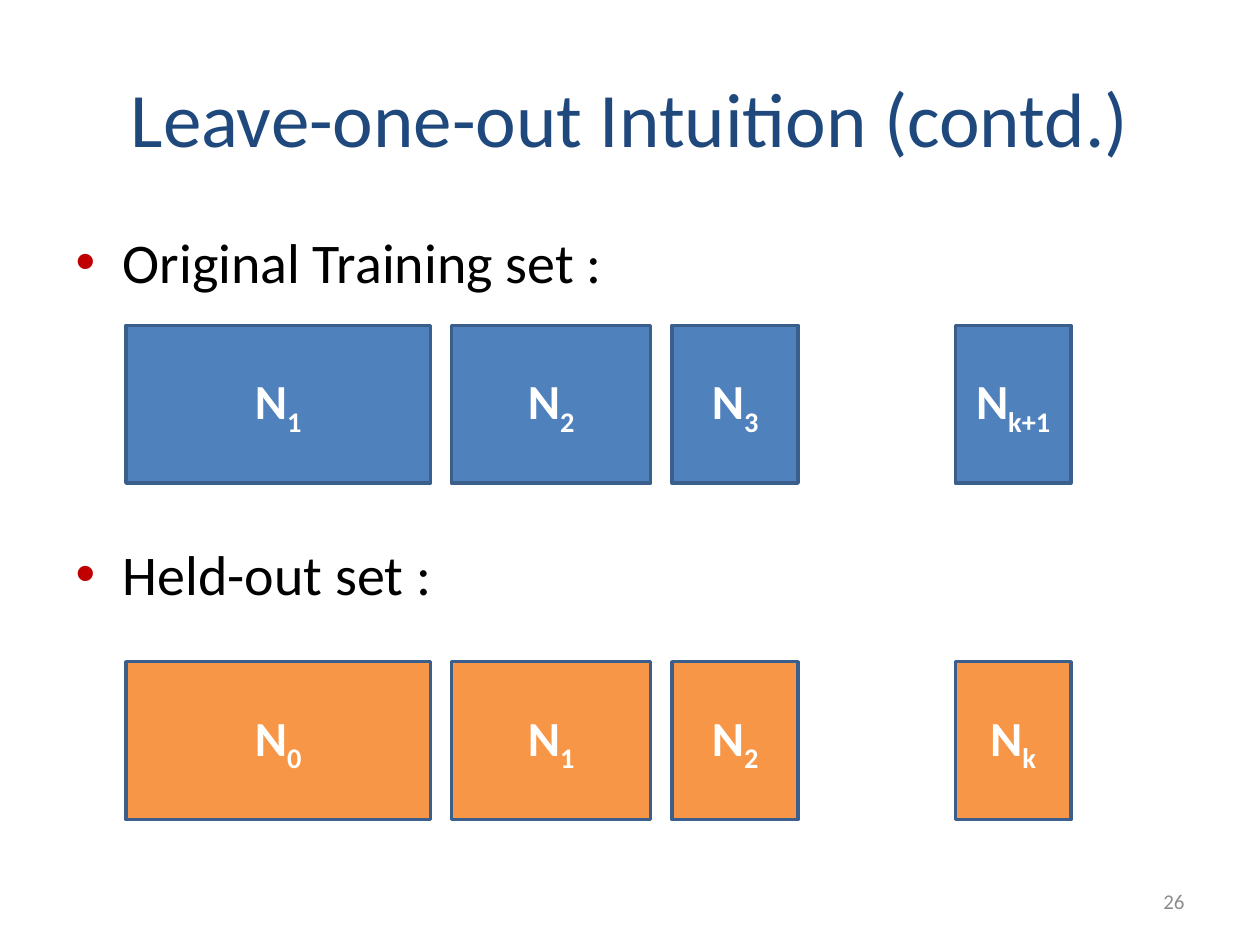
from dataclasses import dataclass
from lxml.etree import SubElement as Sub
from pptx import Presentation
from pptx.dml.color import RGBColor as RGB
from pptx.enum.shapes import MSO_SHAPE as Form
from pptx.enum.text import MSO_ANCHOR as Anchor, PP_ALIGN as Align
from pptx.oxml.ns import qn
from pptx.util import Cm, Pt


@dataclass
class Theme:
    face: str = "Calibri"
    navy: str = "1F497D"
    black: str = "000000"
    white: str = "FFFFFF"
    gray: str = "8C8C8C"
    red: str = "C00000"
    blue: str = "4F81BD"
    orange: str = "F79646"
    edge: str = "3A5F8C"
    title: int = 44
    body: int = 32
    label: int = 28
    small: int = 12


theme = Theme()


def style(para, size, color, align, bold=False):
    para.alignment = align
    font = para.font
    font.name, font.size, font.bold = theme.face, Pt(size), bold
    font.color.rgb = RGB.from_string(color)


def place(shape, left, top, width, height):
    shape.left, shape.top = Cm(left), Cm(top)
    shape.width, shape.height = Cm(width), Cm(height)


deck = Presentation()
deck.slide_width, deck.slide_height = Cm(25.4), Cm(19.05)
slide = deck.slides.add_slide(deck.slide_layouts[1])
title, body = slide.placeholders

place(title, 1.27, 0.76, 22.86, 3.18)
title.text_frame.text = "Leave-one-out Intuition (contd.)"
title.text_frame.vertical_anchor = Anchor.MIDDLE
style(title.text_frame.paragraphs[0], theme.title, theme.navy, Align.CENTER)

place(body, 1.27, 4.45, 22.86, 12.57)
body.text_frame.text = "Original Training set :\nHeld-out set :"
for para, gap in zip(body.text_frame.paragraphs, (0, 140)):
    para.space_before = Pt(gap)
    props = para._p.get_or_add_pPr()
    props.set("marL", str(Cm(0.95)))
    props.set("indent", str(-Cm(0.95)))
    Sub(Sub(props, qn("a:buClr")), qn("a:srgbClr"), val=theme.red)
    Sub(props, qn("a:buFont"), typeface="Arial")
    Sub(props, qn("a:buChar"), char="•")
    style(para, theme.body, theme.black, Align.LEFT)

spans = ((2.54, 6.14), (9.1, 4.02), (13.55, 2.54), (19.26, 2.33))
rows = (
    (6.56, theme.blue, ("1", "2", "3", "k+1")),
    (13.34, theme.orange, ("0", "1", "2", "k")),
)
for top, color, marks in rows:
    for (left, width), mark in zip(spans, marks):
        box = slide.shapes.add_shape(Form.RECTANGLE, Cm(left), Cm(top), Cm(width), Cm(3.18))
        box.shadow.inherit = False
        box.fill.solid()
        box.fill.fore_color.rgb = RGB.from_string(color)
        box.line.color.rgb = RGB.from_string(theme.edge)
        box.line.width = Pt(2)
        box.text_frame.vertical_anchor = Anchor.MIDDLE
        para = box.text_frame.paragraphs[0]
        style(para, theme.label, theme.white, Align.CENTER, True)
        para.add_run().text = "N"
        sub = para.add_run()
        sub.text = mark
        sub.font._element.set("baseline", "-25000")

page = slide.shapes.add_textbox(Cm(18.2), Cm(17.66), Cm(5.93), Cm(1.01))
page.text_frame.word_wrap = True
page.text_frame.vertical_anchor = Anchor.MIDDLE
page.text_frame.text = "26"
style(page.text_frame.paragraphs[0], theme.small, theme.gray, Align.RIGHT)

deck.save("out.pptx")
